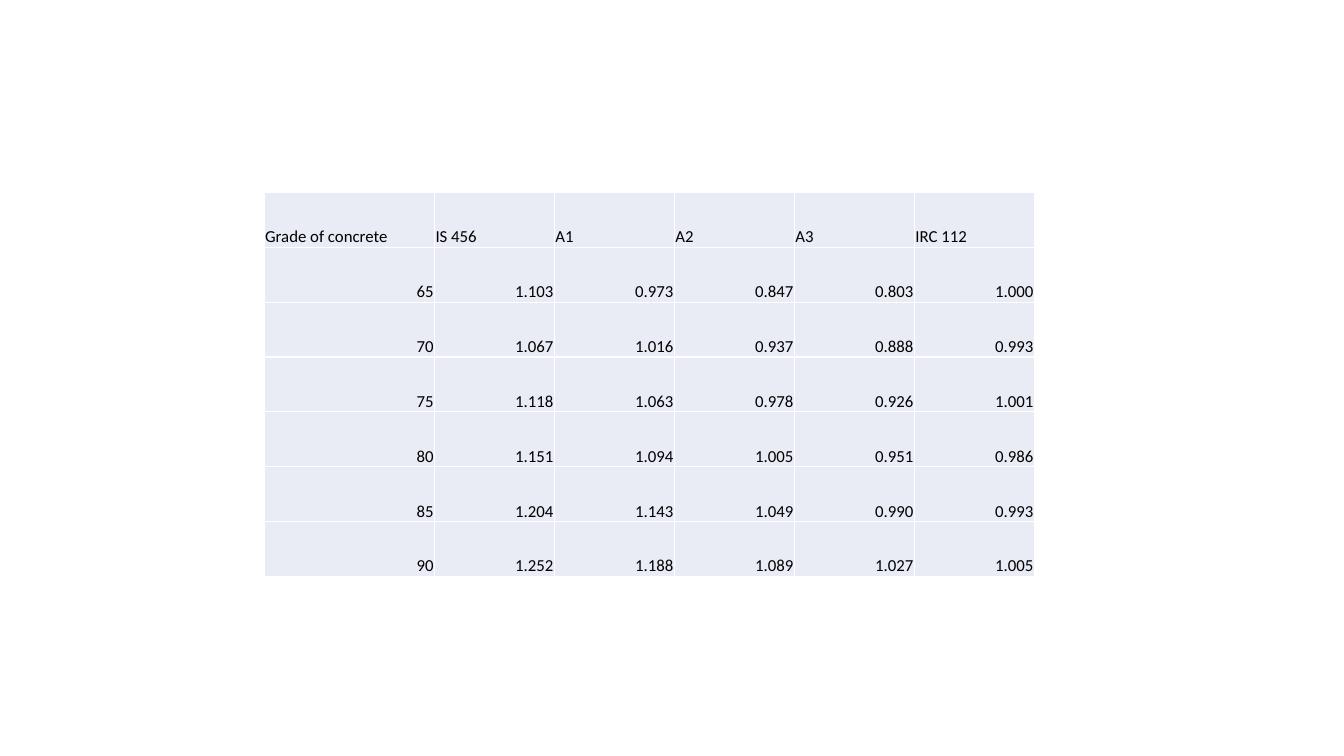
from dataclasses import dataclass

from lxml.etree import SubElement
from pptx import Presentation
from pptx.dml.color import RGBColor
from pptx.enum.text import MSO_ANCHOR as Anchor, PP_ALIGN as Align
from pptx.oxml.ns import qn
from pptx.util import Inches, Pt


@dataclass(frozen=True)
class Theme:
    ink: str = "000000"
    cell: str = "E9EBF5"
    rule: str = "FFFFFF"
    font: str = "Calibri"
    size: int = 12
    rule_width: int = 1


THEME = Theme()
SLIDE_WIDTH, SLIDE_HEIGHT = 13.33, 7.5
TABLE_BOX = (2.62, 1.91, 7.64, 3.81)
COLUMN_SHARES = (1.69, 1.19, 1.19, 1.19, 1.19, 1.19)

HEADINGS = ("Grade of concrete", "IS 456", "A1", "A2", "A3", "IRC 112")
GRADE_RATIOS = {
    65: (1.103, 0.973, 0.847, 0.803, 1.000),
    70: (1.067, 1.016, 0.937, 0.888, 0.993),
    75: (1.118, 1.063, 0.978, 0.926, 1.001),
    80: (1.151, 1.094, 1.005, 0.951, 0.986),
    85: (1.204, 1.143, 1.049, 0.990, 0.993),
    90: (1.252, 1.188, 1.089, 1.027, 1.005),
}

CELL_FORMAT = {
    "vertical_anchor": Anchor.BOTTOM,
    "margin_left": Inches(0.01),
    "margin_top": Inches(0.01),
    "margin_right": Inches(0.01),
    "margin_bottom": 0,
}
FONT_FORMAT = {"name": THEME.font, "size": Pt(THEME.size), "bold": False}
TABLE_FORMAT = {"first_row": False, "horz_banding": False}


def apply_format(target, values):
    for attribute, value in values.items():
        setattr(target, attribute, value)


def add_borders(cell):
    properties = cell._tc.get_or_add_tcPr()
    for side in ("a:lnL", "a:lnR", "a:lnT", "a:lnB"):
        border = SubElement(properties, qn(side), w=str(Pt(THEME.rule_width)))
        fill = SubElement(border, qn("a:solidFill"))
        SubElement(fill, qn("a:srgbClr"), val=THEME.rule)


def fill_cell(cell, text, align):
    apply_format(cell, CELL_FORMAT)
    # Borders come before the fill in the cell properties
    add_borders(cell)
    cell.fill.solid()
    cell.fill.fore_color.rgb = RGBColor.from_string(THEME.cell)
    paragraph = cell.text_frame.paragraphs[0]
    paragraph.alignment = align
    label = paragraph.add_run()
    label.text = text
    apply_format(label.font, FONT_FORMAT)
    label.font.color.rgb = RGBColor.from_string(THEME.ink)


def add_ratio_table(slide, box):
    left, top, width, height = box
    rows = [HEADINGS]
    rows += [(str(grade), *(f"{ratio:.3f}" for ratio in ratios))
             for grade, ratios in GRADE_RATIOS.items()]
    table = slide.shapes.add_table(
        len(rows), len(HEADINGS), *(Inches(length) for length in box)).table
    apply_format(table, TABLE_FORMAT)

    # Grid
    for column, share in zip(table.columns, COLUMN_SHARES):
        column.width = Inches(width * share / sum(COLUMN_SHARES))
    for row in table.rows:
        row.height = Inches(height / len(rows))

    # Headings on the left, values on the right
    for row_index, texts in enumerate(rows):
        align = Align.RIGHT if row_index else Align.LEFT
        for column_index, text in enumerate(texts):
            fill_cell(table.cell(row_index, column_index), text, align)


def main():
    deck = Presentation()
    deck.slide_width, deck.slide_height = Inches(SLIDE_WIDTH), Inches(SLIDE_HEIGHT)
    slide = deck.slides.add_slide(deck.slide_layouts[6])
    add_ratio_table(slide, TABLE_BOX)
    deck.save("out.pptx")


if __name__ == "__main__":
    main()
